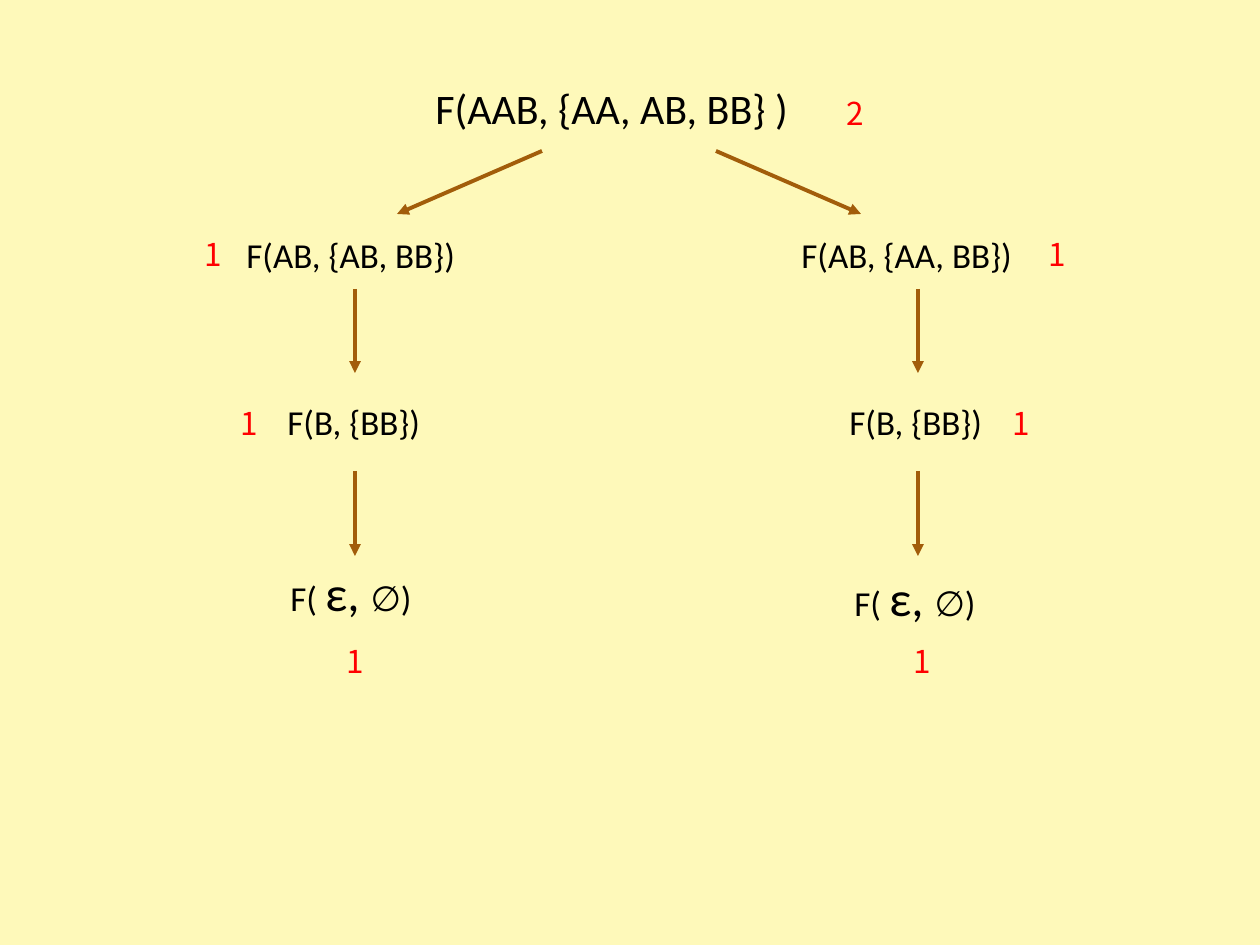
"""Build a slide with the recursion tree of F and the count at each call."""
from lxml import etree
from pptx import Presentation
from pptx import util as u
from pptx.dml.color import RGBColor
from pptx.enum import shapes, text
from pptx.oxml.ns import qn

PX = 914400 / 126
THEME = {
    "paper": "FEF9BA", "arrow": "A25D0A", "arrow_width": 2.25,
    "root": {"size": 24, "name": "Calibri", "color": "000000"},
    "call": {"size": 20, "name": "Calibri", "color": "000000"},
    "symbol": {"size": 28, "name": "Calibri", "color": "000000"},
    "count": {"size": 18, "name": "Noto Sans CJK SC", "color": "FF0000"},
}
EMPTY_CALL = [("F( ", "call"), ("ε, ", "symbol"), ("∅)", "call"), (" ", "symbol")]
CALLS = [
    ((423, 76, 396, 63), [("F(AAB, {AA, AB, BB} )", "root")]),
    ((234, 227, 243, 55), [("F(AB, {AB, BB})", "call")]),
    ((789, 227, 247, 55), [("F(AB, {AA, BB})", "call")]),
    ((275, 394, 163, 55), [("F(B, {BB})", "call")]),
    ((837, 394, 163, 55), [("F(B, {BB})", "call")]),
    ((278, 556, 152, 72), EMPTY_CALL),
    ((842, 561, 152, 72), EMPTY_CALL),
]
COUNT_SIZE = (43, 50)
COUNTS = [
    ("2", 834, 88),
    ("1", 192, 229), ("1", 1036, 229),
    ("1", 228, 398), ("1", 1000, 398),
    ("1", 334, 636), ("1", 901, 636),
]
BRANCHES = [(542, 151, 397, 214), (716, 151, 861, 214)]
COLUMNS = (355, 918)
STEPS = [(289, 373), (471, 556)]


def px(*lengths):
    return [u.Emu(round(length * PX)) for length in lengths]


def add_text(page, place, spans):
    box = page.shapes.add_textbox(*px(*place))
    frame = box.text_frame
    frame.word_wrap = False
    frame.auto_size = text.MSO_AUTO_SIZE.SHAPE_TO_FIT_TEXT
    para = frame.paragraphs[0]
    for words, style in spans:
        span = para.add_run()
        span.text = words
        look = THEME[style]
        for key, value in {"size": u.Pt(look["size"]), "name": look["name"]}.items():
            setattr(span.font, key, value)
        span.font.color.rgb = RGBColor.from_string(look["color"])


def add_arrow(page, ends):
    arrow = page.shapes.add_connector(shapes.MSO_CONNECTOR.STRAIGHT, *px(*ends))
    arrow.line.color.rgb = RGBColor.from_string(THEME["arrow"])
    arrow.line.width = u.Pt(THEME["arrow_width"])
    etree.SubElement(arrow.line._get_or_add_ln(), qn("a:tailEnd"), type="triangle")
    etree.SubElement(arrow._element.spPr, qn("a:effectLst"))


def main():
    deck = Presentation()
    deck.slide_width, deck.slide_height = px(1260, 945)
    page = deck.slides.add_slide(deck.slide_layouts[6])
    page.background.fill.solid()
    page.background.fill.fore_color.rgb = RGBColor.from_string(THEME["paper"])
    drops = [(x, top, x, bottom) for top, bottom in STEPS for x in COLUMNS]
    for ends in BRANCHES + drops:
        add_arrow(page, ends)
    for place, spans in CALLS:
        add_text(page, place, spans)
    for digit, left, top in COUNTS:
        add_text(page, (left, top, *COUNT_SIZE), [(digit, "count")])
    deck.save("out.pptx")


if __name__ == "__main__":
    main()
